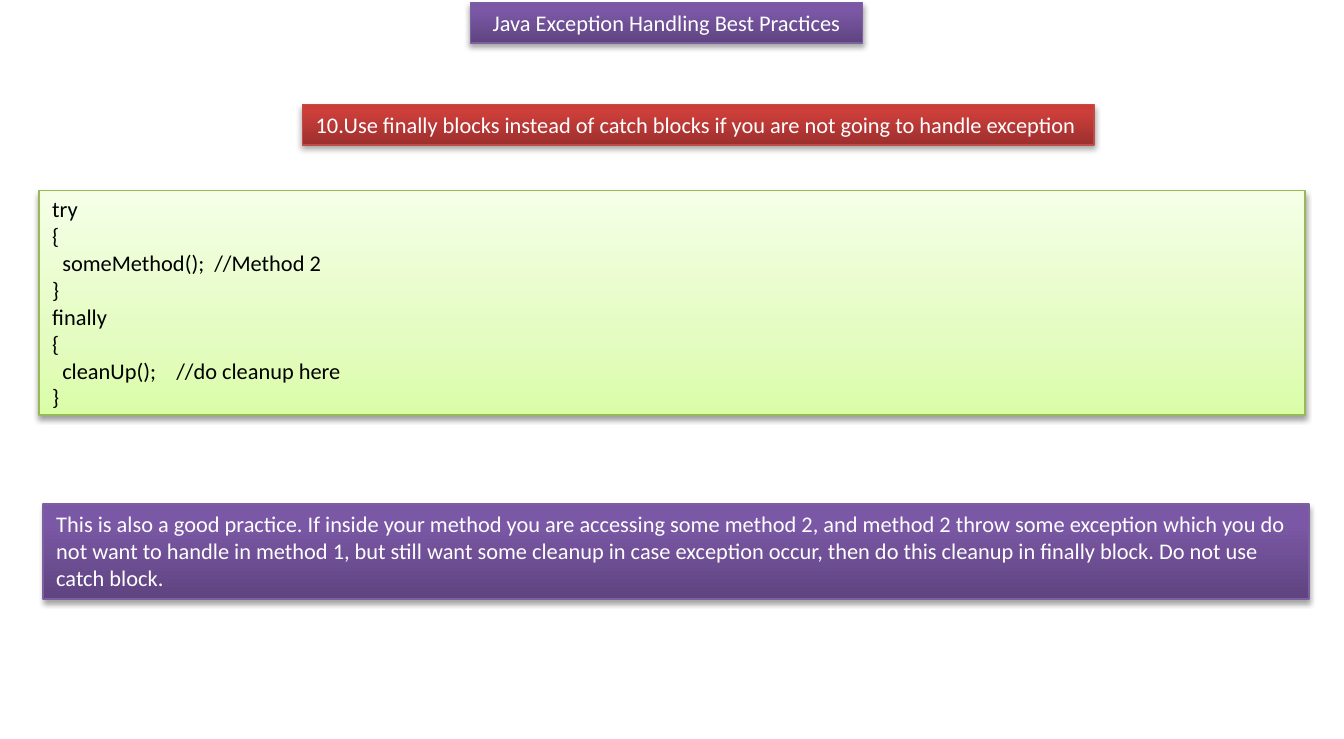
from lxml.etree import SubElement as Sub
from pptx import Presentation
from pptx.dml.color import RGBColor as Rgb
from pptx.enum.shapes import MSO_SHAPE as Shape
from pptx.enum.text import MSO_ANCHOR as Anchor, MSO_AUTO_SIZE as Auto, PP_ALIGN as Align
from pptx.oxml.ns import qn
from pptx.util import Inches, Pt

HEX = {"white": "FFFFFF", "black": "000000",
       "violet": "7D60A0", "red": "BF4C48", "green": "98B955"}
FADES = {"violet": [(0, "5F4480"), (80, "7B58A6"), (100, "7C57A8")],
         "red": [(0, "9C2F2D"), (80, "CB3E3A"), (100, "CE3B37")],
         "green": [(0, "DAFDA7"), (35, "E4FCC2"), (100, "F5FFE7")]}
CODE = """try
{
  someMethod();  //Method 2
}
finally
{
  cleanUp();    //do cleanup here
}"""
RULE = ("10.Use finally blocks instead of catch blocks "
        "if you are not going to handle exception")
NOTE = ("This is also a good practice. If inside your method you are accessing some "
        "method 2, and method 2 throw some exception which you do not want to handle "
        "in method 1, but still want some cleanup in case exception occur, then do "
        "this cleanup in finally block. Do not use catch block.")


def tint(node, val):
    """Add a hex colour to an XML node and return it."""
    return Sub(node, qn("a:srgbClr"), val=val)


def fade(shape, stops):
    """Fill a shape with a gradient rising from its bottom edge."""
    shape.fill.gradient()
    shape.fill.gradient_angle = 90
    group = shape._element.spPr.find(qn("a:gradFill")).find(qn("a:gsLst"))
    for old in list(group):
        group.remove(old)
    for pos, val in stops:
        tint(Sub(group, qn("a:gs"), pos=str(pos * 1000)), val)


def shade(shape, alpha, dist):
    """Cast a soft black shadow straight down."""
    shape.shadow.inherit = False
    root = shape._element.spPr.find(qn("a:effectLst"))
    drop = Sub(root, qn("a:outerShdw"), blurRad=str(Pt(3.1)), dist=str(Pt(dist)),
               dir="5400000", rotWithShape="0")
    Sub(tint(drop, HEX["black"]), qn("a:alpha"), val=str(alpha * 1000))


def style(shape, tone, alpha=35, dist=1.8):
    """Give a panel its gradient, outline and shadow."""
    fade(shape, FADES[tone])
    shape.line.color.rgb = Rgb.from_string(HEX[tone])
    shape.line.width = Pt(0.75)
    shade(shape, alpha, dist)


def write(shape, text, ink="white", align=Align.LEFT, anchor=Anchor.TOP,
          wrap=True, auto=Auto.SHAPE_TO_FIT_TEXT):
    """Write each line of text as a paragraph."""
    frame = shape.text_frame
    frame.word_wrap = wrap
    frame.auto_size = auto
    frame.vertical_anchor = anchor
    for i, line in enumerate(text.split("\n")):
        para = frame.add_paragraph() if i else frame.paragraphs[0]
        para.alignment = align
        run = para.add_run()
        run.text = line
        run.font.name = "Calibri"
        run.font.size = Pt(12)
        run.font.color.rgb = Rgb.from_string(HEX[ink])


def panel(slide, *box):
    """Add a rectangle at the given place in inches."""
    return slide.shapes.add_shape(Shape.RECTANGLE, *map(Inches, box))


def head(slide, text, *box):
    """Move the title placeholder and format it as a panel."""
    title = slide.shapes.title
    title.left, title.top, title.width, title.height = map(Inches, box)
    style(title, "violet")
    write(title, text, align=Align.CENTER, auto=Auto.NONE)


def main():
    """Build the slide and save it."""
    deck = Presentation()
    deck.slide_width, deck.slide_height = Inches(10), Inches(5.5)
    slide = deck.slides.add_slide(deck.slide_layouts[5])
    head(slide, "Java Exception Handling Best Practices", 3.5, 0.02, 2.92, 0.3)

    code = panel(slide, 0.29, 1.42, 9.42, 1.67)
    style(code, "green", alpha=38, dist=1.6)
    write(code, CODE, ink="black", anchor=Anchor.MIDDLE, auto=Auto.NONE)

    rule = panel(slide, 2.25, 0.78, 5.89, 0.3)
    style(rule, "red")
    write(rule, RULE, wrap=False)

    note = panel(slide, 0.32, 3.75, 9.42, 0.71)
    style(note, "violet")
    write(note, NOTE)

    deck.save("out.pptx")


if __name__ == "__main__":
    main()
